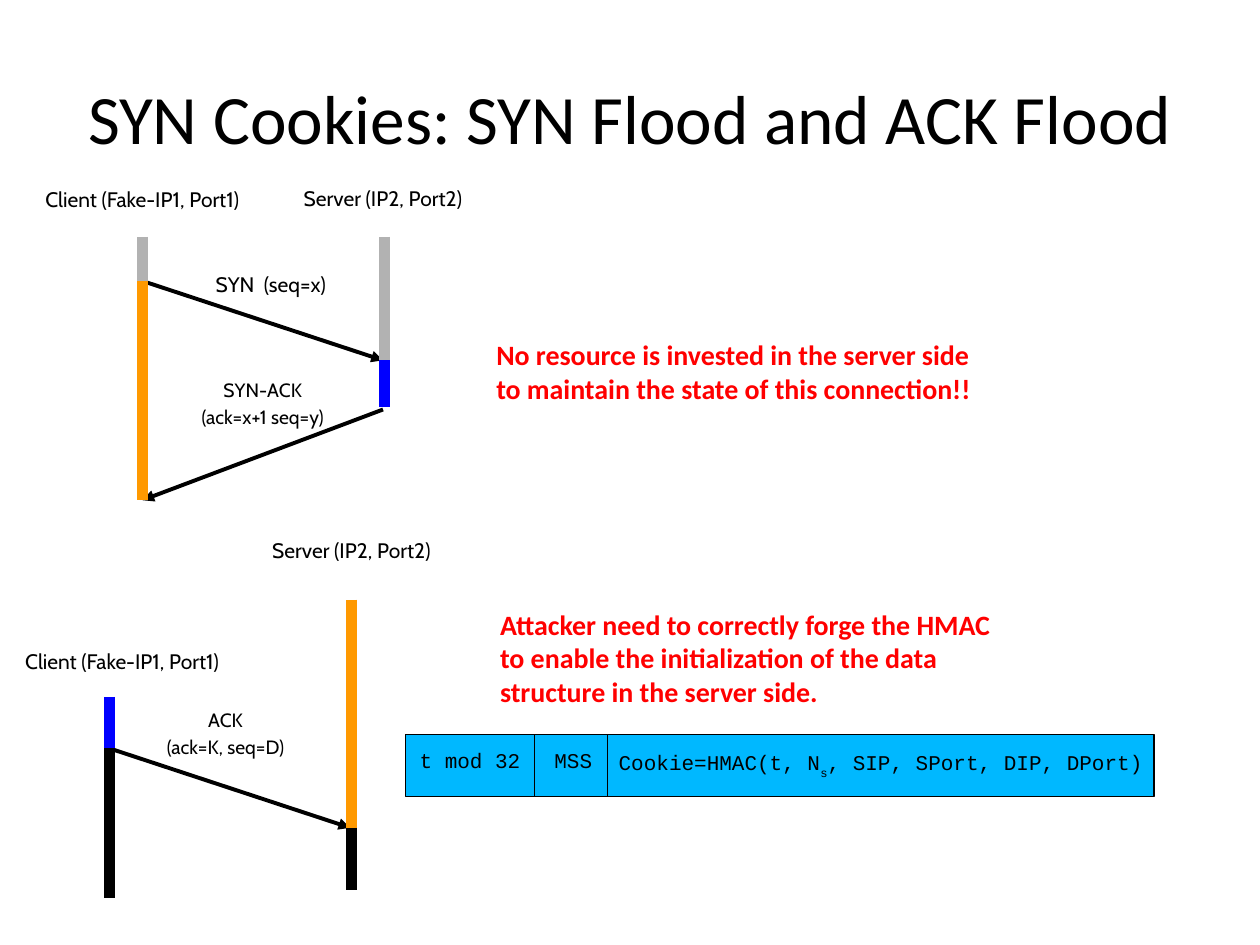
from lxml.etree import SubElement
from pptx import Presentation
from pptx.dml.color import RGBColor
from pptx.enum.shapes import MSO_CONNECTOR as Link, MSO_SHAPE as Shape
from pptx.enum.text import MSO_ANCHOR as Anchor, PP_ALIGN as Align
from pptx.oxml.ns import qn
from pptx.util import Inches, Pt

BLACK, GREY, ORANGE, BLUE = "000000", "B2B2B2", "FF9900", "0000FF"
RED, CYAN = "FF0000", "00B8FF"


def color(code):
    return RGBColor.from_string(code)


def box(*sides):
    return [Inches(side) for side in sides]


class Sketch:
    """Holds the style and the slide being drawn."""
    label_font, body_font, code_font = "Cabin", "Calibri", "Courier New"

    def __init__(self, slide):
        self.slide = slide
        self.shapes = slide.shapes

    def style(self, frame, font, size, tint=BLACK, bold=False, align=Align.LEFT):
        for para in frame.paragraphs:
            para.alignment = align
            for run in para.runs:
                run.font.name = font
                run.font.size = Pt(size)
                run.font.bold = bold
                run.font.color.rgb = color(tint)

    def title(self, text):
        head = self.shapes.title
        head.left, head.top, head.width, head.height = box(0.5, 0.3, 9, 1.25)
        frame = head.text_frame
        frame.text = text
        frame.vertical_anchor = Anchor.MIDDLE
        self.style(frame, self.body_font, 39.6, align=Align.CENTER)

    def label(self, text, left, top, width, height=0.3, size=12):
        frame = self.shapes.add_textbox(*box(left, top, width, height)).text_frame
        frame.word_wrap = False
        frame.text = text
        for para in frame.paragraphs[1:]:
            para.space_before = Pt(size * 0.2)
        self.style(frame, self.label_font, size, align=Align.CENTER)

    def note(self, text, left, top, height):
        frame = self.shapes.add_textbox(*box(left, top, 4.15, height)).text_frame
        frame.word_wrap = True
        frame.text = text
        self.style(frame, self.body_font, 16, RED, bold=True)

    def line(self, start, end, tint=BLACK, width=0.75):
        link = self.shapes.add_connector(Link.STRAIGHT, *box(*start, *end))
        link.line.color.rgb = color(tint)
        link.line.width = Pt(width)
        SubElement(link._element.spPr, qn("a:effectLst"))
        return link

    def arrow(self, start, end):
        link = self.line(start, end, width=2.25)
        SubElement(link.line._get_or_add_ln(), qn("a:tailEnd"), type="triangle")

    def bar(self, x, stops, tints):
        """Vertical time line, one colour between each pair of stops."""
        for top, end, tint in zip(stops, stops[1:], tints):
            self.line((x, top), (x, end), tint, 6)

    def frame(self, left, top, width, height):
        rect = self.shapes.add_shape(Shape.RECTANGLE, *box(left, top, width, height))
        rect.shadow.inherit = False
        rect.fill.solid()
        rect.fill.fore_color.rgb = color(CYAN)
        rect.line.color.rgb = color(BLACK)
        rect.line.width = Pt(0.75)

    def code(self, parts, left, width):
        """Field text; every second part is a subscript."""
        frame = self.shapes.add_textbox(*box(left, 5.95, width, 0.19)).text_frame
        frame.margin_left = frame.margin_right = 0
        frame.margin_top = frame.margin_bottom = 0
        frame.word_wrap = False
        para = frame.paragraphs[0]
        para.line_spacing = 0.94
        for i, part in enumerate(parts):
            run = para.add_run()
            run.text = part
            if i % 2:
                run._r.get_or_add_rPr().set("baseline", "-33000")
        self.style(frame, self.code_font, 12)


def main():
    deck = Presentation()
    deck.slide_width, deck.slide_height = box(10, 7.5)
    art = Sketch(deck.slides.add_slide(deck.slide_layouts[5]))
    art.title("SYN Cookies: SYN Flood and ACK Flood")

    client, server = "Client (Fake-IP1, Port1)", "Server (IP2, Port2)"

    # SYN flood
    art.label(client, 0.16, 1.43, 1.94)
    art.label(server, 2.24, 1.42, 1.6)
    art.label("SYN  (seq=x)", 1.55, 2.11, 1.2)
    art.label("SYN-ACK\n(ack=x+1 seq=y)", 1.38, 2.95, 1.41, 0.51, 11)
    art.arrow((1.13, 2.23), (3.04, 2.86))
    art.arrow((3.04, 3.25), (1.13, 3.97))
    art.bar(1.13, (1.88, 2.23, 3.97), (GREY, ORANGE))
    art.bar(3.05, (1.88, 2.86, 3.23), (GREY, BLUE))
    art.note("No resource is invested in the server side to maintain "
             "the state of this connection!!", 3.84, 2.63, 0.64)

    # ACK flood
    art.label(client, 0, 5.1, 1.94)
    art.label(server, 1.99, 4.22, 1.6)
    art.label("ACK\n(ack=K, seq=D)", 1.14, 5.57, 1.3, 0.51, 11)
    art.arrow((0.87, 5.94), (2.78, 6.57))
    art.bar(0.87, (5.53, 5.94, 7.13), (BLUE, BLACK))
    art.bar(2.79, (4.76, 6.57, 7.06), (ORANGE, BLACK))

    # Cookie fields
    art.frame(3.22, 5.83, 5.94, 0.49)
    for x in (4.24, 4.82):
        art.line((x, 5.83), (x, 6.32))
    art.code(["t mod 32"], 3.33, 0.81)
    art.code(["MSS"], 4.4, 0.3)
    art.code(["Cookie=HMAC(t, N", "s", ", SIP, SPort, DIP, DPort)"], 4.91, 4.21)
    art.note("Attacker need to correctly forge the HMAC to enable the "
             "initialization of the data structure in the server side.",
             3.87, 4.77, 0.91)

    deck.save("out.pptx")


if __name__ == "__main__":
    main()
